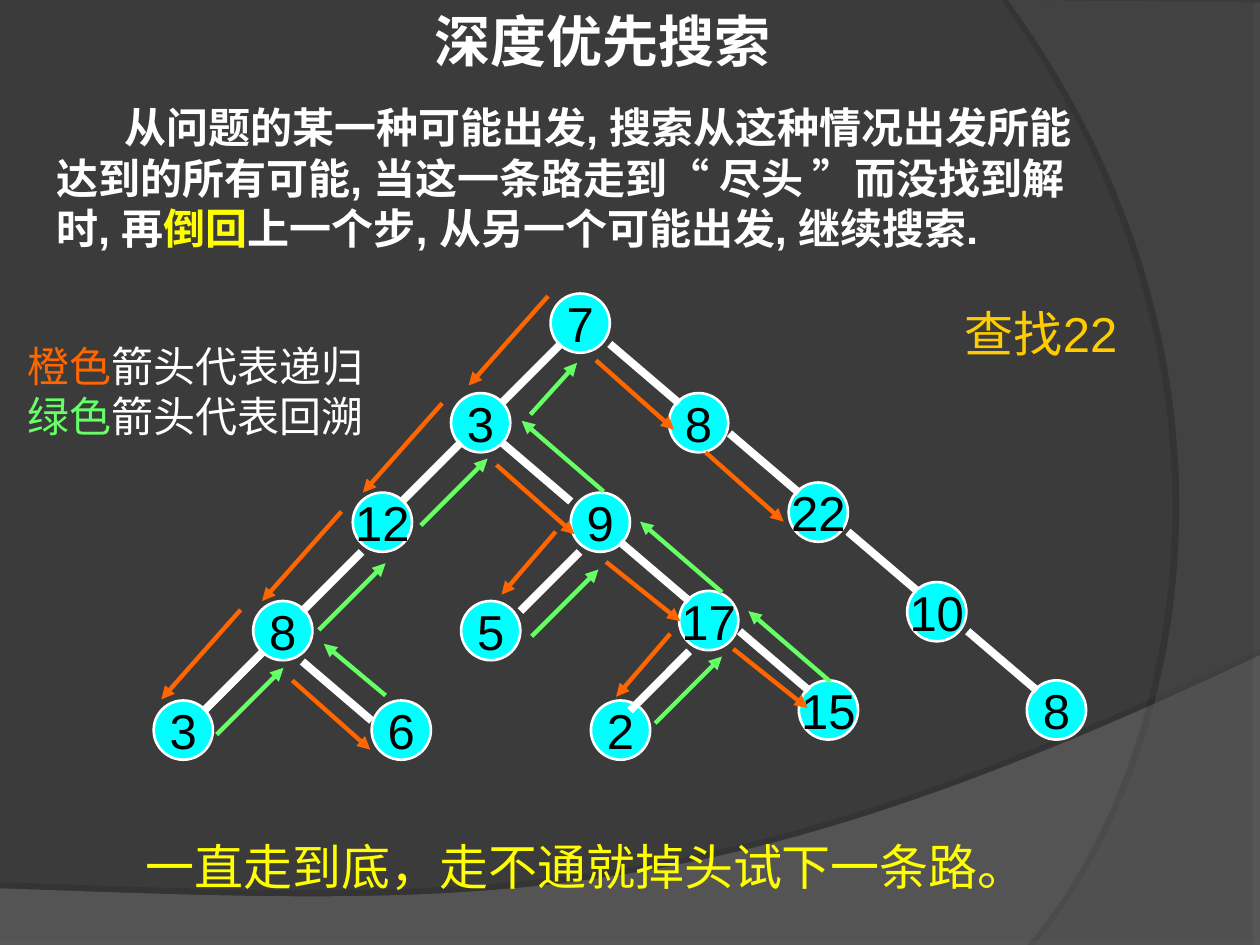
from lxml.etree import SubElement
from pptx import Presentation
from pptx.dml.color import RGBColor
from pptx.enum.shapes import MSO_CONNECTOR as LINE, MSO_SHAPE as SHAPE
from pptx.enum.text import MSO_ANCHOR as ANCHOR, PP_ALIGN as ALIGN
from pptx.oxml.ns import qn
from pptx.util import Inches, Pt

COLORS = {
    "back": "3B3B3B", "floor": "7C7C7C", "wall": "595959", "shadow": "000000",
    "white": "FFFFFF", "black": "000000", "node": "00FFFF", "yellow": "FFFF00",
    "gold": "FFCC00", "orange": "FF6600", "green": "66FF66",
}
NODE_SIZE = 0.47
NODES = [
    ("7", 4.37, 2.33), ("3", 3.58, 3.12), ("22", 6.26, 3.83), ("8", 2.01, 4.77),
    ("8", 5.31, 3.12), ("9", 4.53, 3.91), ("12", 2.8, 3.91), ("10", 7.2, 4.62),
    ("17", 5.39, 4.69), ("5", 3.66, 4.77), ("6", 2.95, 5.56), ("8", 8.15, 5.4),
    ("15", 6.34, 5.4), ("2", 4.69, 5.56), ("3", 1.22, 5.56),
]
# Lines that share a direction and length: step (dx, dy), then start points.
EDGES = [
    ((-0.47, 0.47), [(4.45, 2.73), (3.66, 3.51), (2.87, 4.38), (2.09, 5.17),
                     (4.6, 4.38), (5.47, 5.17)]),
    ((0.55, 0.47), [(4.84, 2.73), (5.79, 3.44), (6.73, 4.22), (5.87, 5.01),
                    (3.98, 3.51), (2.4, 5.25), (4.92, 4.3), (7.68, 5.01)]),
]
RECURSION = [
    ((-0.63, 0.71), [(4.35, 2.35), (3.51, 3.2), (2.71, 4.06), (1.91, 4.84)]),
    ((0.62, 0.55), [(2.32, 5.4), (3.94, 3.69), (4.73, 2.86), (5.6, 3.59)]),
    ((-0.43, 0.5), [(4.41, 4.22), (5.32, 5.03)]),
    ((0.59, 0.47), [(4.81, 4.46), (5.82, 5.15)]),
]
BACKTRACK = [
    ((0.53, -0.53), [(1.72, 5.83), (2.53, 5), (3.34, 4.17), (4.22, 5.05), (5.2, 5.74)]),
    ((-0.65, -0.56), [(6.59, 5.41), (5.73, 4.7), (4.79, 3.9)]),
    ((-0.49, -0.41), [(3.06, 5.52)]),
    ((0.37, -0.41), [(4.21, 3.29)]),
]


def rgb(name):
    return RGBColor.from_string(COLORS[name])


def bezier(p0, p1, p2, p3, steps=60):
    """Points along a cubic curve, both ends included."""
    points = []
    for i in range(steps + 1):
        t = i / steps
        u = 1 - t
        points.append(tuple(u**3 * a + 3 * u * u * t * b + 3 * u * t * t * c + t**3 * d
                            for a, b, c, d in zip(p0, p1, p2, p3)))
    return points


class Deck:
    """Holds the style and the slide being built."""
    font = "Arial"

    def __init__(self, prs):
        self.slide = prs.slides.add_slide(prs.slide_layouts[6])
        self.shapes = self.slide.shapes
        fill = self.slide.background.fill
        fill.solid()
        fill.fore_color.rgb = rgb("back")

    def sweep(self, points, color, opacity, distance, angle):
        """Translucent background area with a hard shadow."""
        points = [(Inches(x), Inches(y)) for x, y in points]
        builder = self.shapes.build_freeform(*points[0])
        builder.add_line_segments(points[1:], close=True)
        sp = builder.convert_to_shape()
        sp.fill.solid()
        sp.fill.fore_color.rgb = rgb(color)
        sp.line.fill.background()
        sp.shadow.inherit = False
        spPr = sp._element.spPr
        clr = spPr.find(qn("a:solidFill")).find(qn("a:srgbClr"))
        SubElement(clr, qn("a:alpha"), val=str(opacity * 1000))
        shadow = SubElement(spPr.find(qn("a:effectLst")), qn("a:outerShdw"), blurRad="0",
                            dist=str(Pt(distance)), dir=str(angle * 60000))
        clr = SubElement(shadow, qn("a:srgbClr"), val=COLORS["shadow"])
        SubElement(clr, qn("a:alpha"), val="25000")

    def text(self, box, paragraphs, size, bold=False, wrap=True, indent=0):
        """Each paragraph is a list of (text, color) runs."""
        tf = self.shapes.add_textbox(*map(Inches, box)).text_frame
        tf.word_wrap = wrap
        for i, runs in enumerate(paragraphs):
            p = tf.paragraphs[0] if i == 0 else tf.add_paragraph()
            if indent:
                p._p.get_or_add_pPr().set("indent", str(Inches(indent)))
            p.font.name, p.font.size, p.font.bold = self.font, Pt(size), bold
            for words, color in runs:
                r = p.add_run()
                r.text = words
                r.font.color.rgb = rgb(color)

    def node(self, label, x, y):
        sp = self.shapes.add_shape(SHAPE.OVAL, *map(Inches, (x, y, NODE_SIZE, NODE_SIZE)))
        sp.shadow.inherit = False
        sp.fill.solid()
        sp.fill.fore_color.rgb = rgb("node")
        sp.line.color.rgb = rgb("white")
        sp.line.width = Pt(1.5)
        tf = sp.text_frame
        tf.word_wrap = False
        tf.vertical_anchor = ANCHOR.MIDDLE
        p = tf.paragraphs[0]
        p.text = label
        p.alignment = ALIGN.CENTER
        p.font.name, p.font.size = self.font, Pt(28)
        p.font.color.rgb = rgb("black")

    def lines(self, groups, color, width, arrow=False):
        for (dx, dy), starts in groups:
            for x, y in starts:
                line = self.shapes.add_connector(
                    LINE.STRAIGHT, *map(Inches, (x, y, x + dx, y + dy)))
                line.line.color.rgb = rgb(color)
                line.line.width = Pt(width)
                spPr = line._element.spPr
                if arrow:
                    SubElement(spPr.find(qn("a:ln")), qn("a:tailEnd"), type="triangle")
                SubElement(spPr, qn("a:effectLst"))


def main():
    prs = Presentation()
    prs.slide_width, prs.slide_height = Inches(10), Inches(7.5)
    deck = Deck(prs)

    floor = bezier((10, 5.2), (5.59, 7.29), (3.91, 7.19), (0, 7.05))
    deck.sweep([(0, 7.51), (10, 7.51)] + floor, "floor", 45, 3.5, 270)
    wall = bezier((8.21, 7.5), (9.35, 6.19), (10.18, 3), (8, 0))
    deck.sweep([(10, 0.02), (10, 7.5)] + wall, "wall", 40, 4, 180)

    deck.text((3.35, 0, 2.87, 0.64), [[("深度优先搜索", "white")]], 32, bold=True, wrap=False)
    deck.text((0.35, 0.76, 8.43, 1.7), [[
        ("从问题的某一种可能出发, 搜索从这种情况出发所能达到的所有可能, "
         "当这一条路走到“ 尽头 ”而没找到解时, 再", "white"),
        ("倒回", "yellow"),
        ("上一个步, 从另一个可能出发, 继续搜索.", "white"),
    ]], 24, bold=True, indent=0.54)
    deck.text((1.06, 6.59, 7.4, 0.57),
              [[("一直走到底，走不通就掉头试下一条路。", "yellow")]], 28)

    for label, x, y in NODES:
        deck.node(label, x, y)
    deck.lines(EDGES, "white", 4.5)
    deck.text((7.56, 2.36, 1.62, 0.57), [[("查找22", "gold")]], 28)
    deck.lines(RECURSION, "orange", 2.5, arrow=True)
    deck.lines(BACKTRACK, "green", 2.5, arrow=True)
    deck.text((0.12, 2.65, 3.04, 0.9), [
        [("橙色", "orange"), ("箭头代表递归", "white")],
        [("绿色", "green"), ("箭头代表回溯", "white")],
    ], 24)

    prs.save("out.pptx")


if __name__ == "__main__":
    main()
